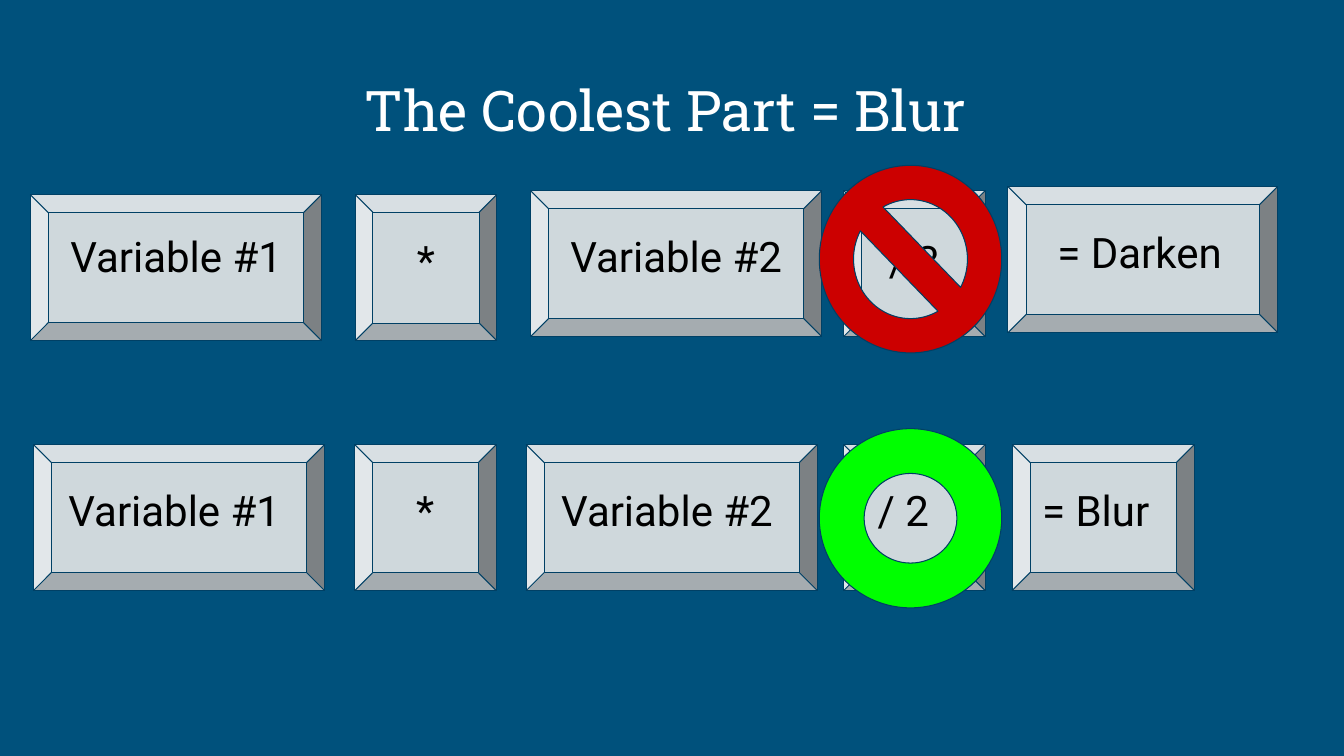
import pptx
import pptx.util
import pptx.dml.color
import pptx.enum.shapes
import pptx.enum.text

Pt = pptx.util.Pt
RGB = pptx.dml.color.RGBColor
SHAPE = pptx.enum.shapes.MSO_SHAPE
ALIGN = pptx.enum.text.PP_ALIGN
ANCHOR = pptx.enum.text.MSO_ANCHOR
FIT = pptx.enum.text.MSO_AUTO_SIZE

NAVY = RGB(0x00, 0x51, 0x7C)
EDGE = RGB(0x00, 0x40, 0x65)
GREY = RGB(0xCF, 0xD8, 0xDC)
RED = RGB(0xCC, 0x00, 0x00)
GREEN = RGB(0x00, 0xFF, 0x00)
WHITE = RGB(0xFF, 0xFF, 0xFF)
BLACK = RGB(0x00, 0x00, 0x00)

HEAD = {"size": Pt(40), "name": "Roboto Slab"}
BODY = {"size": Pt(30), "name": "Roboto"}
KEY_H, LABEL_H = 104.4, 61.2

# Each key: left, top, width; label: text, left, top, width, alignment
ROWS = [
    [(21.6, 139, 208.1, "Variable #1", 43.2, 157.7, 169.2, ALIGN.LEFT),
     (253.7, 139, 101.2, "*", 275.4, 160.6, 57.6, ALIGN.CENTER),
     (378.9, 136.1, 208.1, "Variable #2", 400.3, 157.7, 169.2, ALIGN.LEFT),
     (602.6, 136.1, 101.2, "/ 3", 627.8, 160.6, 53, ALIGN.LEFT),
     (720, 133.2, 192.7, "= Darken", 748.3, 154.8, 141, ALIGN.LEFT)],
    [(23.8, 317.5, 208.1, "Variable #1", 41.8, 339.1, 169.2, ALIGN.LEFT),
     (253.4, 317.5, 101.2, "*", 275, 339.1, 57.6, ALIGN.CENTER),
     (375.8, 317.5, 208.1, "Variable #2", 393.8, 339.1, 169.2, ALIGN.LEFT),
     (602.6, 317.5, 101.2, "/ 2", 619.9, 339.1, 67, ALIGN.LEFT),
     (722.9, 317.5, 130.3, "= Blur", 737.3, 339.1, 101.5, ALIGN.LEFT)],
]


def put(item, values):
    for name, value in values.items():
        setattr(item, name, value)


def write(box, text, font, color, align, pad, **frame):
    side = Pt(7.2)
    put(box.text_frame, {"word_wrap": True, "auto_size": FIT.NONE,
                         "margin_left": side, "margin_right": side,
                         "margin_top": Pt(pad), "margin_bottom": Pt(pad),
                         **frame})
    para = box.text_frame.paragraphs[0]
    para.text = text
    para.alignment = align
    put(para.font, font)
    para.font.color.rgb = color
    return para


def shape(slide, kind, area, fill, ratio):
    item = slide.shapes.add_shape(kind, *map(Pt, area))
    item.shadow.inherit = False
    item.adjustments[0] = ratio
    item.fill.solid()
    item.fill.fore_color.rgb = fill
    item.line.color.rgb = EDGE
    item.line.width = Pt(0.75)


def key(slide, left, top, width, text, x, y, wide, align):
    shape(slide, SHAPE.BEVEL, (left, top, width, KEY_H), GREY, 0.125)
    box = slide.shapes.add_textbox(Pt(x), Pt(y), Pt(wide), Pt(LABEL_H))
    write(box, text, BODY, BLACK, align, 7.2, vertical_anchor=ANCHOR.TOP)


def heading(slide):
    title = slide.shapes.title
    put(title, {"left": Pt(253.4), "top": Pt(28.8),
                "width": Pt(409.7), "height": Pt(104.4)})
    blur = slide.shapes.add_textbox(Pt(603.2), Pt(28.8), Pt(110.3), Pt(104.4))
    for box, text in ((title, "The Coolest Part ="), (blur, "Blur")):
        para = write(box, text, HEAD, WHITE, ALIGN.LEFT, 3.6,
                     vertical_anchor=ANCHOR.MIDDLE)
        para.line_spacing = 0.9


def main():
    deck = pptx.Presentation()
    put(deck, {"slide_width": Pt(960), "slide_height": Pt(540)})
    slide = deck.slides.add_slide(deck.slide_layouts[5])
    slide.background.fill.solid()
    slide.background.fill.fore_color.rgb = NAVY

    # Title in two parts
    heading(slide)

    # Both formulas
    for row in ROWS:
        for cell in row:
            key(slide, *cell)

    # Signs over the divisors
    shape(slide, SHAPE.DONUT, (585.2, 306.2, 130.3, 128), GREEN, 0.25)
    shape(slide, SHAPE.NO_SYMBOL, (585.2, 118.1, 130.3, 134), RED, 0.188)

    deck.save("out.pptx")


if __name__ == "__main__":
    main()
